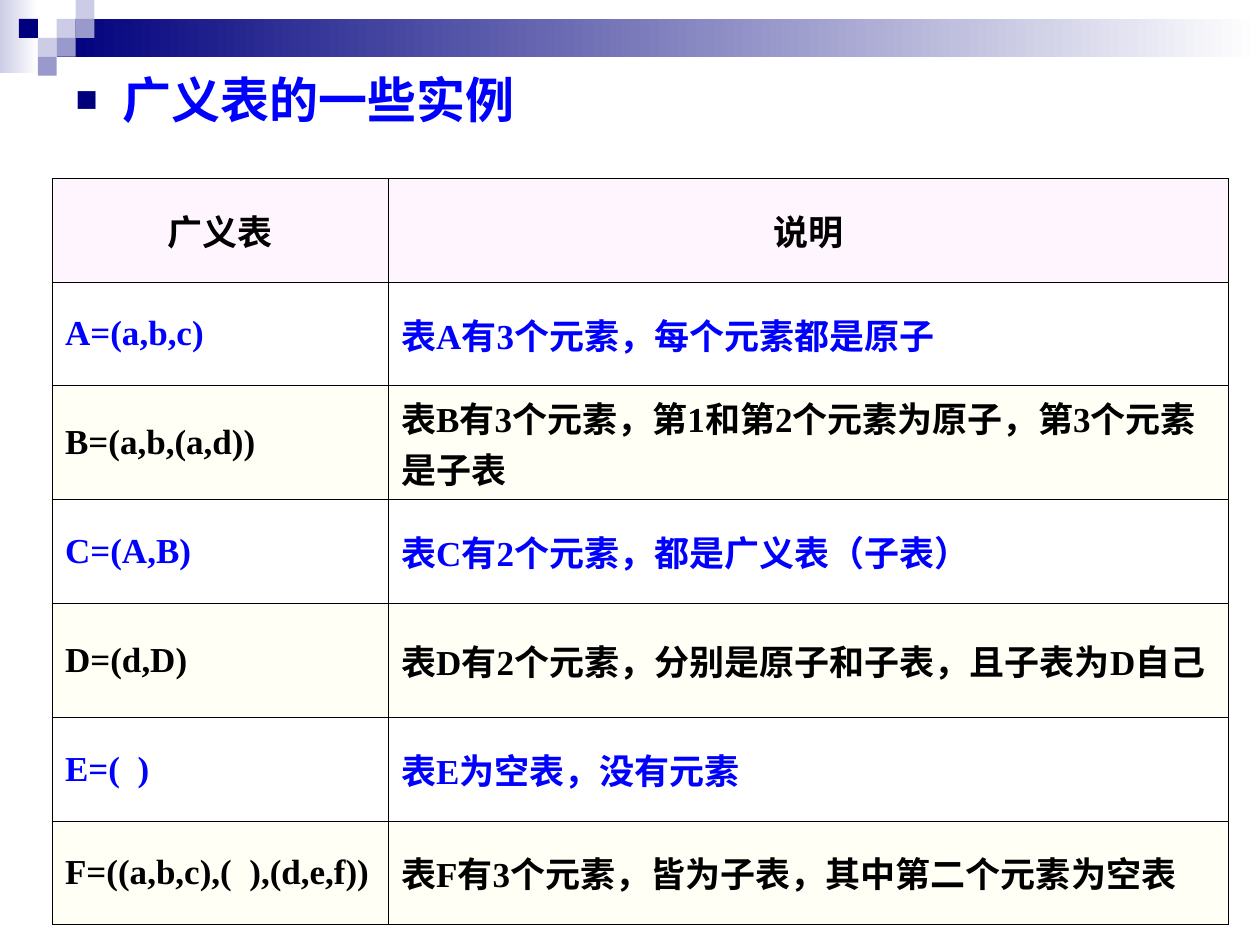
from dataclasses import dataclass

from lxml.etree import SubElement
from pptx import Presentation
from pptx.dml.color import RGBColor as RGB
from pptx.enum.shapes import MSO_SHAPE as Shape
from pptx.enum.text import MSO_ANCHOR as Anchor, MSO_AUTO_SIZE as AutoSize, PP_ALIGN as Align
from pptx.oxml.ns import qn
from pptx.util import Pt


@dataclass(frozen=True)
class Theme:
    navy: str = "00007D"
    lavender: str = "9999CC"
    pale: str = "CCCCE6"
    white: str = "FFFFFF"
    black: str = "000000"
    blue: str = "0000FF"
    header_fill: str = "FFF5FF"
    band_fill: str = "FFFFF5"
    heading_font: str = "Arial"
    table_font: str = "Times New Roman"
    heading_size: int = 28
    table_size: int = 20
    border_width: float = 0.45


THEME = Theme()

HEADING = "广义表的一些实例"
HEADER = ("广义表", "说明")
EXAMPLES = [
    ("A=(a,b,c)", "表A有3个元素，每个元素都是原子"),
    ("B=(a,b,(a,d))", "表B有3个元素，第1和第2个元素为原子，第3个元素是子表"),
    ("C=(A,B)", "表C有2个元素，都是广义表（子表）"),
    ("D=(d,D)", "表D有2个元素，分别是原子和子表，且子表为D自己"),
    ("E=(  )", "表E为空表，没有元素"),
    ("F=((a,b,c),(  ),(d,e,f))", "表F有3个元素，皆为子表，其中第二个元素为空表"),
]


def style_font(font, name, size, color):
    font.name = name
    font.size = Pt(size)
    font.bold = True
    font.color.rgb = RGB.from_string(color)


def add_block(slide, left, top, width, height, color, fade_to=None):
    block = slide.shapes.add_shape(Shape.RECTANGLE, Pt(left), Pt(top), Pt(width), Pt(height))
    block.shadow.inherit = False
    block.line.fill.background()
    if fade_to:
        block.fill.gradient()
        block.fill.gradient_angle = 0
        for stop, shade in zip(block.fill.gradient_stops, (color, fade_to)):
            stop.color.rgb = RGB.from_string(shade)
    else:
        block.fill.solid()
        block.fill.fore_color.rgb = RGB.from_string(color)


def add_banner(slide, left, top, width, unit):
    add_block(slide, left, top, 2 * unit, 42, THEME.pale, THEME.white)
    add_block(slide, left + 3 * unit, top + unit, width - 3 * unit, 2 * unit,
              THEME.navy, THEME.white)
    mosaic = [
        (3, 1, THEME.pale), (4, 0, THEME.pale), (4, 1, THEME.lavender),
        (2, 2, THEME.pale), (1, 1, THEME.navy), (3, 2, THEME.lavender),
        (2, 3, THEME.lavender),
    ]
    for column, row, color in mosaic:
        add_block(slide, left + column * unit, top + row * unit, unit, unit, color)


def add_bullet(paragraph, indent):
    properties = paragraph._p.get_or_add_pPr()
    properties.set("marL", str(Pt(indent)))
    properties.set("indent", str(-Pt(indent)))
    bullet_color = SubElement(properties, qn("a:buClr"))
    SubElement(bullet_color, qn("a:srgbClr"), val=THEME.navy)
    SubElement(properties, qn("a:buSzPct"), val="75000")
    SubElement(properties, qn("a:buFont"), typeface=THEME.heading_font)
    SubElement(properties, qn("a:buChar"), char="■")


def place_heading(slide, left, top, width, height):
    heading = slide.shapes.title
    heading.left, heading.top = Pt(left), Pt(top)
    heading.width, heading.height = Pt(width), Pt(height)
    frame = heading.text_frame
    frame.text = HEADING
    frame.word_wrap = True
    frame.auto_size = AutoSize.NONE
    frame.vertical_anchor = Anchor.TOP
    paragraph = frame.paragraphs[0]
    paragraph.alignment = Align.LEFT
    add_bullet(paragraph, 27)
    style_font(paragraph.runs[0].font, THEME.heading_font, THEME.heading_size, THEME.blue)


def add_borders(cell):
    properties = cell._tc.get_or_add_tcPr()
    for side in ("lnL", "lnR", "lnT", "lnB"):
        border = SubElement(properties, qn(f"a:{side}"), w=str(Pt(THEME.border_width)))
        fill = SubElement(border, qn("a:solidFill"))
        SubElement(fill, qn("a:srgbClr"), val=THEME.black)


def fill_cell(cell, text, color, background, alignment):
    cell.text = text
    cell.vertical_anchor = Anchor.MIDDLE
    paragraph = cell.text_frame.paragraphs[0]
    paragraph.alignment = alignment
    style_font(paragraph.runs[0].font, THEME.table_font, THEME.table_size, color)
    add_borders(cell)
    if background:
        cell.fill.solid()
        cell.fill.fore_color.rgb = RGB.from_string(background)
    else:
        cell.fill.background()


def add_examples(slide, left, top, width, height):
    rows = [HEADER] + EXAMPLES
    table = slide.shapes.add_table(
        len(rows), len(HEADER), Pt(left), Pt(top), Pt(width), Pt(height)).table
    table.first_row = table.horz_banding = False
    notation_width = width * 2 / 7
    table.columns[0].width = Pt(notation_width)
    table.columns[1].width = Pt(width - notation_width)
    for index, texts in enumerate(rows):
        if index == 0:
            look = (THEME.black, THEME.header_fill, Align.CENTER)
        elif index % 2:
            look = (THEME.blue, None, Align.LEFT)
        else:
            look = (THEME.black, THEME.band_fill, Align.LEFT)
        for cell, text in zip(table.rows[index].cells, texts):
            fill_cell(cell, text, *look)


def main():
    deck = Presentation()
    deck.slide_width, deck.slide_height = Pt(720), Pt(540)
    slide = deck.slides.add_slide(deck.slide_layouts[5])
    add_banner(slide, 0, 0, 720, 10.8)
    place_heading(slide, 36, 36, 648, 54)
    add_examples(slide, 30, 102, 672, 414)
    deck.save("out.pptx")


if __name__ == "__main__":
    main()
